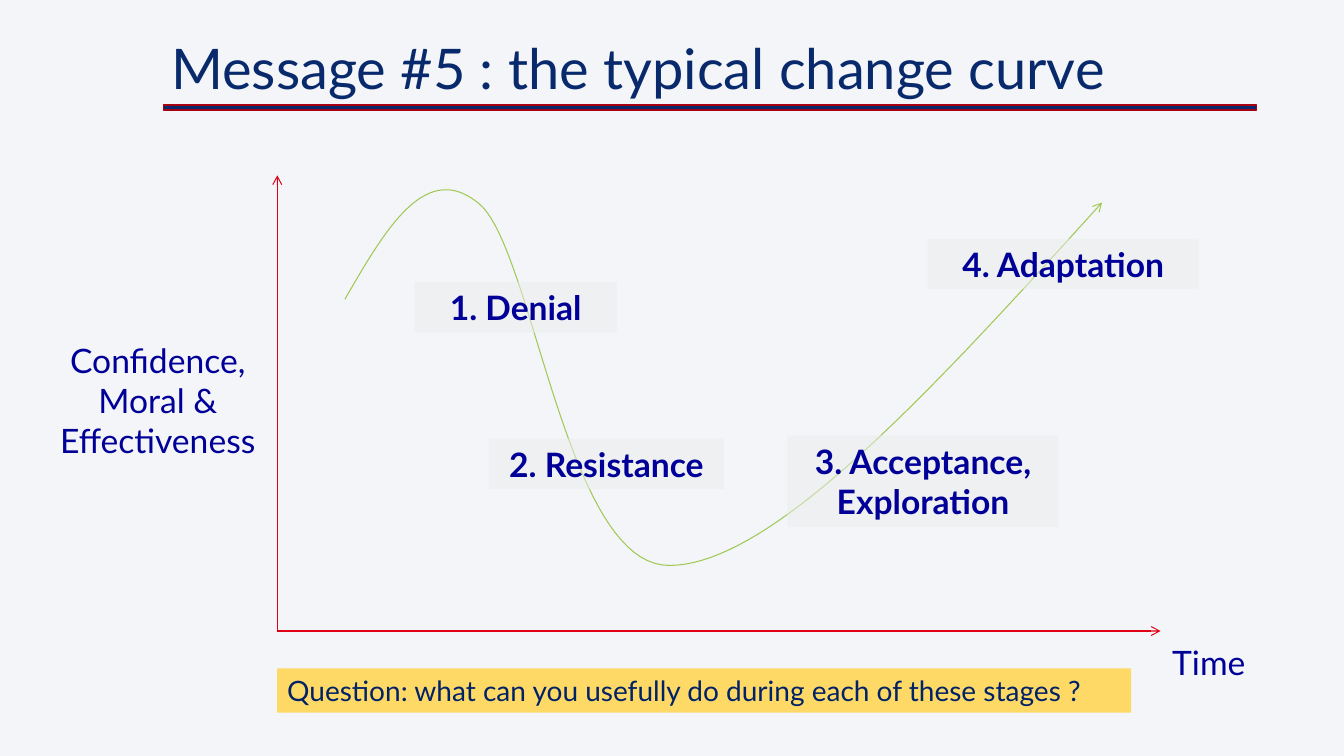
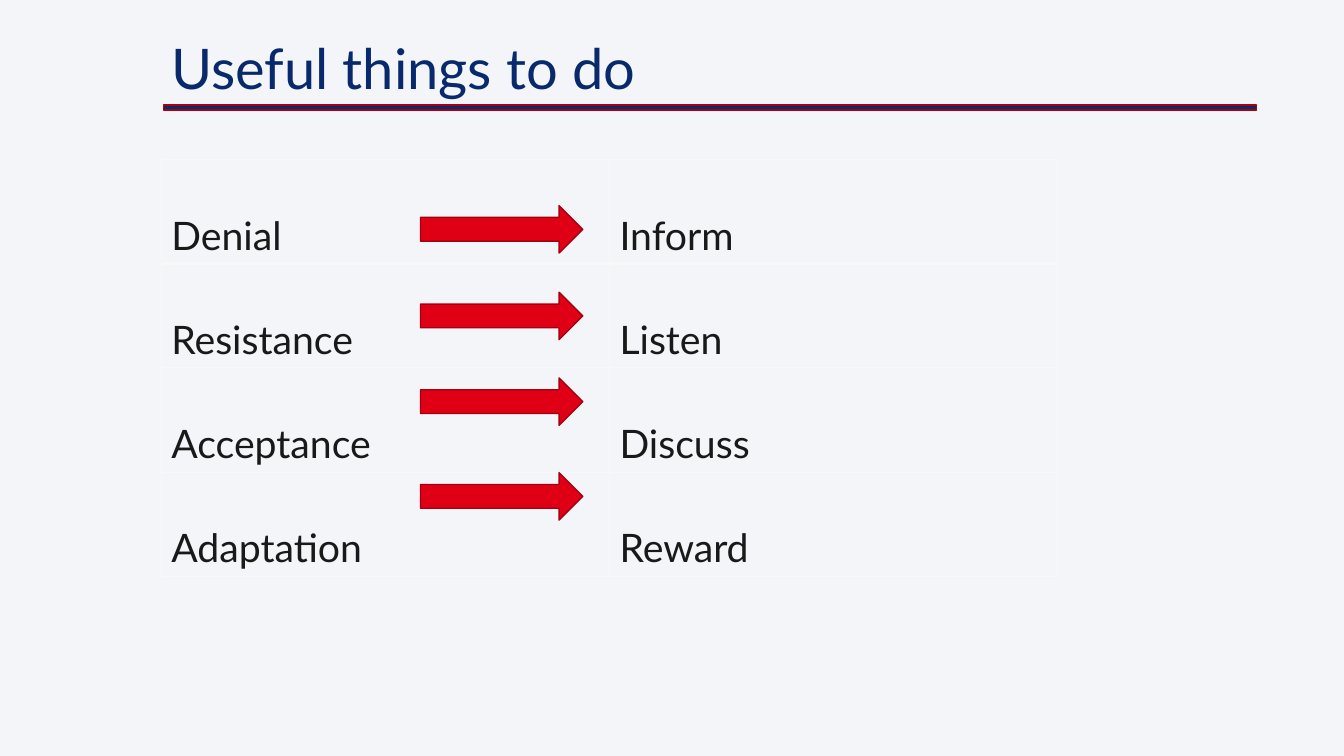
from lxml import etree
from pptx import Presentation
from pptx.dml.color import RGBColor
from pptx.enum.shapes import MSO_CONNECTOR, MSO_SHAPE
from pptx.enum.text import MSO_ANCHOR, PP_ALIGN
from pptx.oxml.ns import qn
from pptx.util import Inches, Pt

FONT = "Lato"
COLORS = {
    "background": "F3F5F8",
    "title": "08296C",
    "rule_edge": "A80010",
    "axis": "E00016",
    "curve": "A1C854",
    "label": "000099",
    "label_fill": "ECECEC",
    "question": "002266",
    "question_fill": "FFD966",
    "cell": "191919",
    "border": "F8F8F8",
    "arrow": "E00016",
    "arrow_edge": "A60010",
}

# Offsets in inches from the top left of the plot area
CURVE_START = (0.67, 1.23)
CURVE_SEGMENTS = [
    ((1.07, 0.54), (1.47, -0.16), (2.00, 0.28)),
    ((2.54, 0.72), (2.86, 3.88), (3.89, 3.87)),
    ((4.92, 3.87), (6.55, 2.07), (8.18, 0.27)),
]
STAGES = [
    ("1. Denial", 1.36, 1.06, 2.01, 0.5),
    ("2. Resistance", 2.10, 2.61, 2.33, 0.5),
    ("3. Acceptance, Exploration", 5.06, 2.58, 2.69, 0.91),
    ("4. Adaptation", 6.45, 0.63, 2.69, 0.5),
]

# Stage, response and arrow offset from the top of the table
RESPONSES = [
    ("Denial", "Inform", 0.46),
    ("Resistance", "Listen", 1.32),
    ("Acceptance", "Discuss", 2.17),
    ("Adaptation", "Reward", 3.11),
]


def rgb(name):
    return RGBColor.from_string(COLORS[name])


def write(tf, text, size, color, align=PP_ALIGN.LEFT, bold=False,
          anchor=MSO_ANCHOR.TOP, spacing=None, wrap=True):
    tf.word_wrap = wrap
    tf.vertical_anchor = anchor
    p = tf.paragraphs[0]
    p.text = text
    p.alignment = align
    p.line_spacing = spacing
    p.font.name = FONT
    p.font.size = Pt(size)
    p.font.bold = bold
    p.font.color.rgb = rgb(color)


def add_text(slide, x, y, w, h, *args, **kwargs):
    sp = slide.shapes.add_textbox(Inches(x), Inches(y), Inches(w), Inches(h))
    write(sp.text_frame, *args, **kwargs)


def add_box(slide, kind, x, y, w, h, fill, edge=None):
    sp = slide.shapes.add_shape(kind, Inches(x), Inches(y), Inches(w), Inches(h))
    sp.shadow.inherit = False
    sp.fill.solid()
    sp.fill.fore_color.rgb = rgb(fill)
    if edge:
        sp.line.color.rgb = rgb(edge)
        sp.line.width = Pt(1)
    else:
        sp.line.fill.background()
    return sp


def set_alpha(sp, percent):
    color = sp.fill._xPr.find(qn("a:solidFill"))[0]
    etree.SubElement(color, qn("a:alpha"), val=str(percent * 1000))


def style_arrow(line, color):
    line.color.rgb = rgb(color)
    line.width = Pt(0.75)
    etree.SubElement(line._get_or_add_ln(), qn("a:tailEnd"), type="arrow")


def add_axis(slide, x1, y1, x2, y2):
    axis = slide.shapes.add_connector(
        MSO_CONNECTOR.STRAIGHT, Inches(x1), Inches(y1), Inches(x2), Inches(y2))
    style_arrow(axis.line, "axis")
    etree.SubElement(axis._element.spPr, qn("a:effectLst"))


def bezier_points(start, segments, steps=40):
    """Sample a chain of cubic Bezier segments."""
    points = [start]
    for c1, c2, end in segments:
        for i in range(1, steps + 1):
            t = i / steps
            u = 1 - t
            points.append(tuple(
                u**3 * a + 3 * u**2 * t * b + 3 * u * t**2 * c + t**3 * d
                for a, b, c, d in zip(start, c1, c2, end)))
        start = end
    return points


def add_curve(slide, x, y):
    points = [(Inches(x + dx), Inches(y + dy))
              for dx, dy in bezier_points(CURVE_START, CURVE_SEGMENTS)]
    builder = slide.shapes.build_freeform(*points[0])
    builder.add_line_segments(points[1:], close=False)
    curve = builder.convert_to_shape()
    curve.shadow.inherit = False
    curve.fill.background()
    style_arrow(curve.line, "curve")


def set_borders(cell, **widths):
    """Set cell borders from widths in points keyed L, R, T and B."""
    tcPr = cell._tc.get_or_add_tcPr()
    for i, side in enumerate("LRTB"):
        ln = etree.Element(qn("a:ln" + side), w=str(Pt(widths.get(side, 1))))
        fill = etree.SubElement(ln, qn("a:solidFill"))
        etree.SubElement(fill, qn("a:srgbClr"), val=COLORS["border"])
        tcPr.insert(i, ln)


def add_titled_slide(prs, title):
    slide = prs.slides.add_slide(prs.slide_layouts[6])
    slide.background.fill.solid()
    slide.background.fill.fore_color.rgb = rgb("background")
    add_box(slide, MSO_SHAPE.RECTANGLE, 1.62, 1.04, 10.84, 0.05,
            "title", "rule_edge")
    add_text(slide, 1.6, -0.05, 11.15, 1.51, title, 40, "title",
             anchor=MSO_ANCHOR.MIDDLE, spacing=0.9)
    return slide


def add_change_curve(slide, x, y, w, h):
    """Draw axes, curve and stage labels; the box is the plot area."""
    bottom = y + h
    add_axis(slide, x, bottom, x, y)
    add_axis(slide, x, bottom, x + w, bottom)
    add_text(slide, x - 2.37, y + 1.58, 2.37, 1.31,
             "Confidence, Moral & Effectiveness", 24, "label", PP_ALIGN.CENTER)
    add_text(slide, x + w, bottom + 0.06, 0.96, 0.5,
             "Time", 24, "label", PP_ALIGN.CENTER, wrap=False)
    add_curve(slide, x, y)
    for text, dx, dy, width, height in STAGES:
        sp = add_box(slide, MSO_SHAPE.RECTANGLE, x + dx, y + dy, width, height,
                     "label_fill")
        set_alpha(sp, 51)
        write(sp.text_frame, text, 24, "label", PP_ALIGN.CENTER, bold=True)


def add_question(slide, x, y, w, h):
    sp = add_box(slide, MSO_SHAPE.RECTANGLE, x, y, w, h, "question_fill")
    write(sp.text_frame,
          "Question: what can you usefully do during each of these stages ?",
          20, "question")


def add_responses(slide, x, y, w, h):
    table = slide.shapes.add_table(
        len(RESPONSES), 2, Inches(x), Inches(y), Inches(w), Inches(h)).table
    table.first_row = False
    table.horz_banding = False
    for i, (stage, response, _) in enumerate(RESPONSES):
        for j, text in enumerate((stage, response)):
            cell = table.cell(i, j)
            cell.fill.background()
            write(cell.text_frame, text, 28, "cell", spacing=2.0)
            set_borders(cell, T=3 if i == 1 else 1, B=3 if i == 0 else 1)
    for _, _, dy in RESPONSES:
        add_box(slide, MSO_SHAPE.RIGHT_ARROW, x + 2.57, y + dy, 1.61, 0.47,
                "arrow", "arrow_edge")


def main():
    prs = Presentation()
    prs.slide_width = Inches(13.33)
    prs.slide_height = Inches(7.5)

    slide = add_titled_slide(prs, "Message #5 : the typical change curve")
    add_change_curve(slide, 2.75, 1.74, 8.76, 4.52)
    add_question(slide, 2.75, 6.63, 8.47, 0.44)

    slide = add_titled_slide(prs, "Useful things to do")
    add_responses(slide, 1.6, 1.58, 8.89, 4.14)

    prs.save("out.pptx")


if __name__ == "__main__":
    main()
